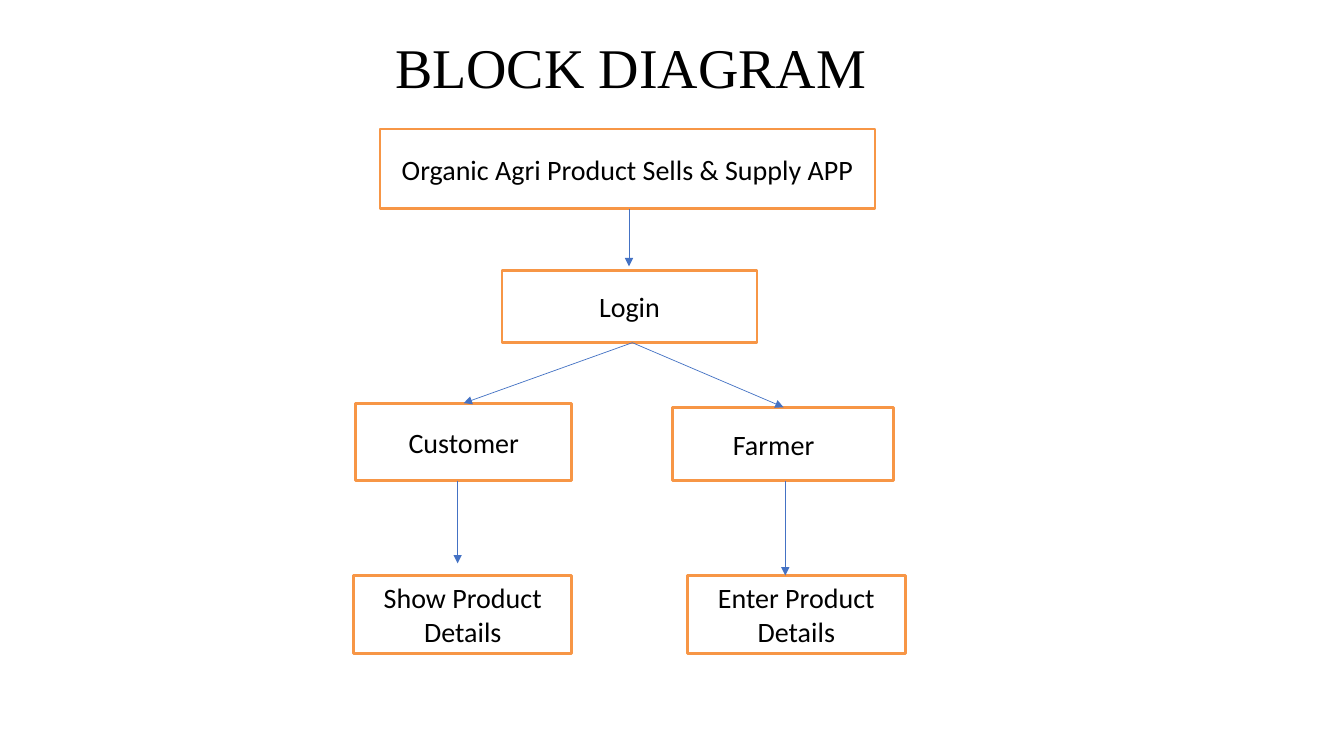
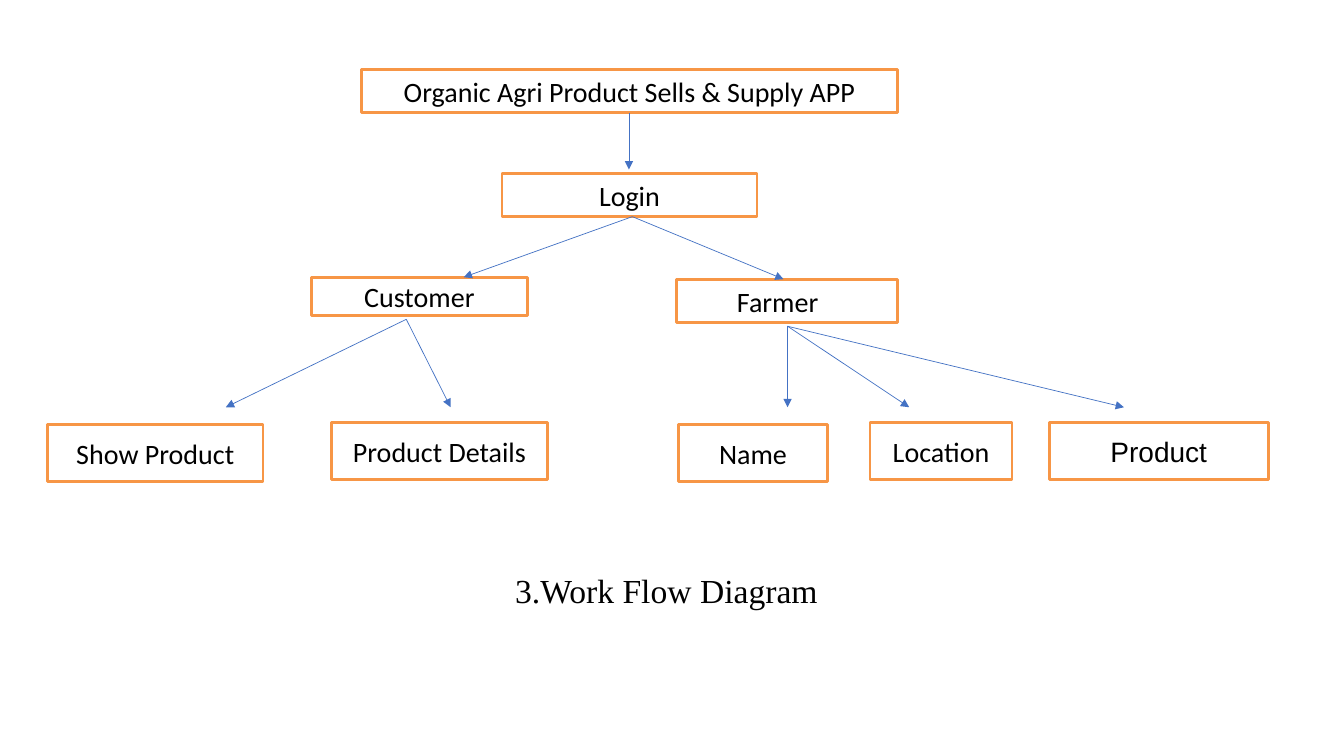
from typing import NamedTuple

from lxml.etree import SubElement
from pptx import Presentation
from pptx.dml.color import RGBColor
from pptx.enum.shapes import MSO_CONNECTOR as CONNECTOR, MSO_SHAPE as SHAPE
from pptx.enum.text import MSO_ANCHOR as ANCHOR, MSO_AUTO_SIZE as AUTO_SIZE, PP_ALIGN as ALIGN
from pptx.oxml.ns import qn
from pptx.util import Inches, Pt

WIDTH, HEIGHT = Inches(13.33), Inches(7.5)
BLACK = RGBColor(0x00, 0x00, 0x00)
WHITE = RGBColor(0xFF, 0xFF, 0xFF)
ORANGE = RGBColor(0xF7, 0x96, 0x46)
BLUE = RGBColor(0x44, 0x72, 0xC4)
BODY_FONT, TITLE_FONT = "Calibri", "Times New Roman"
TITLE_ONLY = 5
FARMER_INDENT = Inches(0.6)
ARROW_GAP = 0.5


class Area(NamedTuple):
    """A rectangle in percent of the slide's width and height."""
    left: float
    top: float
    width: float
    height: float

    @property
    def bottom(self):
        """Give the lower edge."""
        return self.top + self.height


def across(share):
    """Turn a percentage of the slide's width into a length."""
    return round(WIDTH * share / 100)


def down(share):
    """Turn a percentage of the slide's height into a length."""
    return round(HEIGHT * share / 100)


def write(shape, text, font=BODY_FONT, size=20, align=ALIGN.CENTER, indent=None):
    """Write one formatted paragraph into a shape."""
    frame = shape.text_frame
    frame.auto_size = AUTO_SIZE.NONE
    frame.word_wrap = True
    frame.vertical_anchor = ANCHOR.MIDDLE
    if indent is not None:
        frame.margin_left = indent
    paragraph = frame.paragraphs[0]
    paragraph.alignment = align
    run = paragraph.add_run()
    run.text = text
    run.font.name = font
    run.font.size = Pt(size)
    run.font.color.rgb = BLACK


def add_titled_slide(deck, text, area, **text_format):
    """Add a slide and place its title."""
    slide = deck.slides.add_slide(deck.slide_layouts[TITLE_ONLY])
    title = slide.shapes.title
    title.left, title.top = across(area.left), down(area.top)
    title.width, title.height = across(area.width), down(area.height)
    write(title, text, font=TITLE_FONT, **text_format)
    return slide


def add_block(slide, text, area, **text_format):
    """Add one outlined block of the diagram."""
    block = slide.shapes.add_shape(
        SHAPE.RECTANGLE, across(area.left), down(area.top),
        across(area.width), down(area.height))
    block.shadow.inherit = False
    block.fill.solid()
    block.fill.fore_color.rgb = WHITE
    block.line.color.rgb = ORANGE
    block.line.width = Pt(2)
    write(block, text, **text_format)


def add_arrows(slide, start, *ends):
    """Draw arrows from one point to each of the ends."""
    for end in ends:
        arrow = slide.shapes.add_connector(
            CONNECTOR.STRAIGHT, across(start[0]), down(start[1]),
            across(end[0]), down(end[1]))
        arrow.line.color.rgb = BLUE
        arrow.line.width = Pt(0.5)
        SubElement(arrow.line._get_or_add_ln(), qn("a:tailEnd"), type="triangle")
        SubElement(arrow._element.spPr, qn("a:effectLst"))


def add_login_tree(slide, app, login, customer, farmer):
    """Draw the app, the login and the two roles that follow it."""
    add_block(slide, "Organic Agri Product Sells & Supply APP", app)
    add_block(slide, "Login", login)
    add_block(slide, "Customer", customer)
    add_block(slide, "Farmer", farmer, align=ALIGN.LEFT, indent=FARMER_INDENT)
    add_arrows(slide, (46.8, app.bottom), (46.8, login.top - ARROW_GAP))
    add_arrows(slide, (47.05, login.bottom), (34.5, customer.top), (58.3, farmer.top))


def build_block_diagram(deck):
    """Build the block diagram slide."""
    slide = add_titled_slide(deck, "BLOCK DIAGRAM", Area(28.65, 3.6, 42.75, 10.27),
                             size=40, align=ALIGN.LEFT)
    customer = Area(26.48, 53.33, 16.05, 10.27)
    farmer = Area(50.03, 53.87, 16.43, 9.73)
    add_login_tree(slide, Area(28.28, 17.07, 36.83, 10.53),
                   Area(37.35, 35.73, 18.98, 9.6), customer, farmer)
    details_top = 76.13
    for text, left in (("Show Product Details", 26.33), ("Enter Product Details", 51.15)):
        add_block(slide, text, Area(left, details_top, 16.2, 10.27))
    add_arrows(slide, (34.05, customer.bottom), (34.05, 74.53))
    add_arrows(slide, (58.43, farmer.bottom), (58.43, details_top))


def build_work_flow(deck):
    """Build the work flow slide."""
    slide = add_titled_slide(deck, "3.Work Flow Diagram",
                             Area(33.53, 74.67, 32.1, 6.67), size=24)
    customer = Area(23.18, 36.67, 16.05, 5.07)
    farmer = Area(50.33, 36.93, 16.43, 5.73)
    add_login_tree(slide, Area(26.93, 9.2, 39.83, 5.73),
                   Area(37.35, 22.93, 18.98, 5.73), customer, farmer)
    leaves = (
        ("Show Product", 3.53, 56.13, 16.05, BODY_FONT),
        ("Product Details", 24.68, 55.87, 16.05, BODY_FONT),
        ("Name", 50.48, 56.13, 11.1, BODY_FONT),
        ("Location", 64.73, 55.87, 10.58, BODY_FONT),
        ("Product", 78.08, 55.87, 16.28, "Arial"),
    )
    for text, left, top, width, font in leaves:
        add_block(slide, text, Area(left, top, width, 7.6), font=font)
    tips = 53.87
    add_arrows(slide, (30.23, customer.bottom + ARROW_GAP), (16.8, tips), (33.53, tips))
    add_arrows(slide, (58.6, farmer.bottom + ARROW_GAP),
               (58.6, tips), (67.65, tips), (83.63, tips))


def main():
    """Build and save the deck."""
    deck = Presentation()
    deck.slide_width, deck.slide_height = WIDTH, HEIGHT
    build_block_diagram(deck)
    build_work_flow(deck)
    deck.save("out.pptx")


if __name__ == "__main__":
    main()
